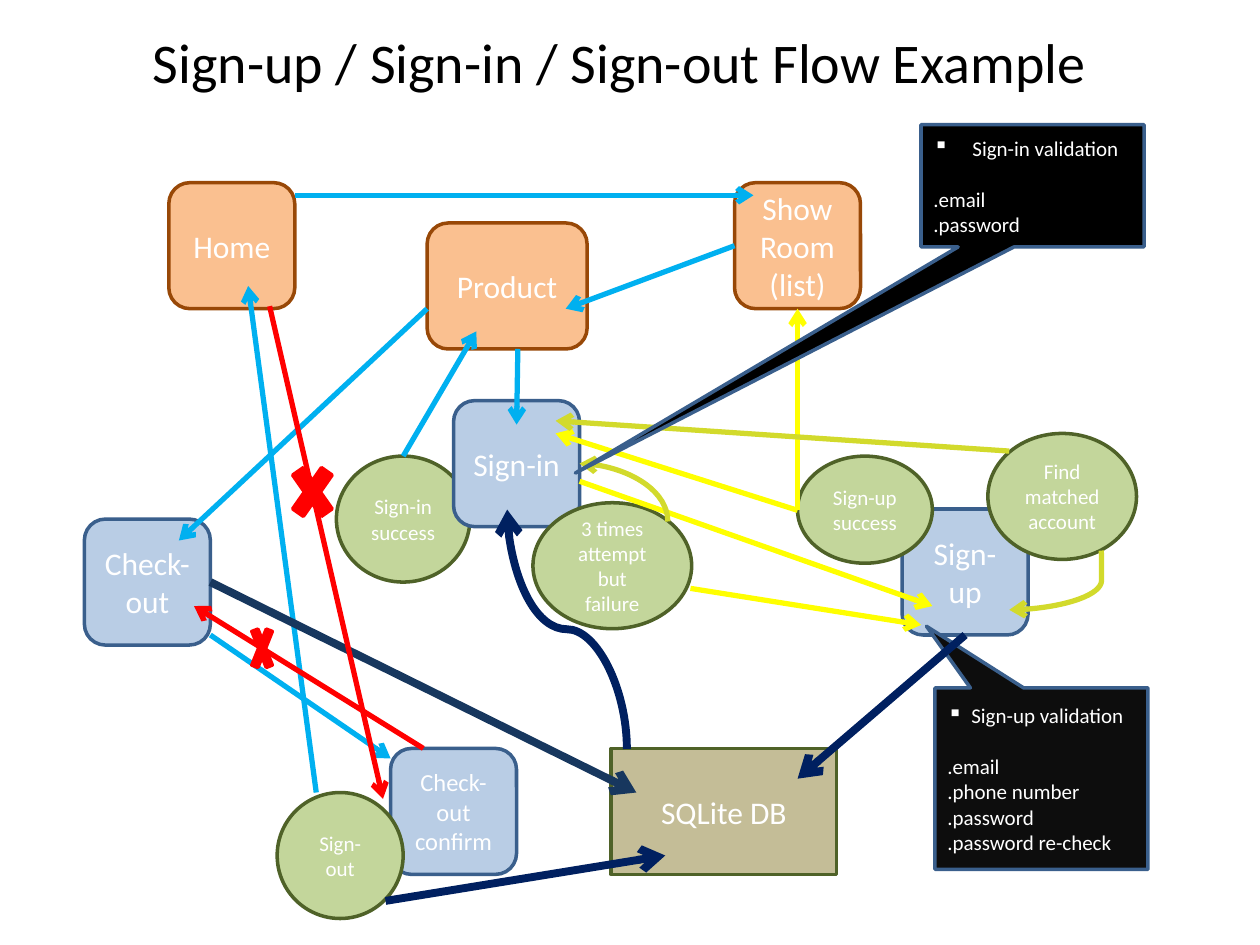
"""Builds the sign-up, sign-in and sign-out flow slide."""
import pptx
import pptx.dml.color
import pptx.enum.shapes
import pptx.enum.text
import pptx.oxml.ns
import pptx.oxml.xmlchemy
import pptx.util

RGB = pptx.dml.color.RGBColor
KIND = pptx.enum.shapes.MSO_SHAPE
WIRE = pptx.enum.shapes.MSO_CONNECTOR
ALIGN = pptx.enum.text.PP_ALIGN
MID = pptx.enum.text.MSO_ANCHOR.MIDDLE
Pt = pptx.util.Pt
qn = pptx.oxml.ns.qn

PX = 9144
FONT = "Calibri"
WHITE = RGB(0xFF, 0xFF, 0xFF)
BLACK = RGB(0, 0, 0)
COAL = RGB(0x0D, 0x0D, 0x0D)
STEEL = RGB(0x3A, 0x5F, 0x8C)
PALE = RGB(0xB9, 0xCD, 0xE5)
PEACH = RGB(0xFA, 0xC0, 0x90)
BROWN = RGB(0x98, 0x48, 0x07)
LEAF = RGB(0xC3, 0xD6, 0x9B)
MOSS = RGB(0x4F, 0x62, 0x28)
TAN = RGB(0xC4, 0xBD, 0x97)
SKY = RGB(0x00, 0xB0, 0xF0)
YELLOW = RGB(0xFF, 0xFF, 0x00)
LIME = RGB(0xD2, 0xDA, 0x2C)
SLATE = RGB(0x17, 0x37, 0x5E)
NAVY = RGB(0x00, 0x20, 0x60)
RED = RGB(0xFF, 0x00, 0x00)

STYLES = {
    "page": (KIND.ROUNDED_RECTANGLE, PEACH, BROWN),
    "form": (KIND.ROUNDED_RECTANGLE, PALE, STEEL),
    "event": (KIND.OVAL, LEAF, MOSS),
    "store": (KIND.RECTANGLE, TAN, MOSS),
    "cross": (KIND.MATH_MULTIPLY, RED, RED),
}
TITLE = "Sign-up / Sign-in / Sign-out Flow Example"
NODES = [
    ("event", (267, 362, 106, 100), 12, ["Sign-in success"]),
    ("form", (360, 318, 100, 100), 18, ["Sign-in"]),
    ("form", (716, 404, 100, 100), 18, ["Sign-up"]),
    ("page", (339, 177, 127, 100), 18, ["Product"]),
    ("form", (67, 412, 100, 100), 18, ["Check-out"]),
    ("form", (310, 594, 100, 100), 14, ["Check-out confirm"]),
    ("page", (134, 145, 100, 100), 18, ["Home"]),
    ("page", (583, 145, 100, 100), 18, ["Show", "Room", "(list)"]),
    ("store", (485, 594, 179, 100), 18, ["SQLite DB"]),
    ("event", (784, 344, 118, 100), 12, ["Find matched account"]),
    ("event", (633, 362, 107, 85), 12, ["Sign-up success"]),
    ("event", (423, 399, 126, 100), 12, ["3 times attempt but failure"]),
    ("event", (220, 629, 100, 100), 12, ["Sign-out"]),
]
LINES = [
    (SKY, 3, (411, 277, 410, 337)),
    (SKY, 3, (320, 362, 378, 263)),
    (SKY, 3, (339, 245, 142, 429)),
    (SKY, 3, (167, 504, 310, 602)),
    (SKY, 3, (251, 629, 197, 227)),
    (YELLOW, 3, (548, 467, 731, 496)),
    (YELLOW, 3, (633, 405, 441, 344)),
    (YELLOW, 3, (633, 405, 633, 245)),
    (LIME, 3, (801, 358, 441, 334)),
    (SLATE, 4.5, (167, 462, 505, 629)),
    (NAVY, 4.5, (766, 504, 633, 618)),
    (NAVY, 4.5, (306, 715, 528, 679)),
    (SKY, 3, (583, 195, 449, 245)),
    (SKY, 3, (234, 155, 598, 155)),
    (YELLOW, 3, (460, 382, 740, 481)),
]
CURVES = [
    (LIME, 3, (472, 356, 46, 70), 270, "curvedConnector2", None),
    (LIME, 3, (801, 437, 73, 47), 180, "curvedConnector3", -400),
    (NAVY, 4.5, (355, 452, 190, 95), 270, "curvedConnector3", None),
]
SIGNUP = ((742, 546, 169, 144), COAL, (-0.54, -0.84), 19, "Sign-up validation",
          [".email", ".phone number", ".password", ".password re-check"])
SIGNIN = ((731, 99, 177, 97), BLACK, (-2.05, 2.35), 31, "Sign-in validation",
          [".email", ".password"])
BLOCKS = [
    ((214, 243, 304, 634), (226, 359, 44, 63)),
    ((336, 594, 154, 481), (197, 487, 22, 55)),
]


def emu(nums):
    return [round(n * PX) for n in nums]


def add(base, tag, **attrs):
    part = pptx.oxml.xmlchemy.OxmlElement(tag)
    for key, value in attrs.items():
        part.set(key, value)
    base.append(part)


def write(frame, rows, size, color, align):
    frame.word_wrap = True
    frame.vertical_anchor = MID
    for i, row in enumerate(rows):
        para = frame.paragraphs[0] if i == 0 else frame.add_paragraph()
        para.alignment = align
        run = para.add_run()
        run.text = row
        run.font.name = FONT
        run.font.size = Pt(size)
        run.font.color.rgb = color


def shape(tree, kind, box, fill, edge):
    item = tree.add_shape(kind, *emu(box))
    item.shadow.inherit = False
    item.fill.solid()
    item.fill.fore_color.rgb = fill
    item.line.color.rgb = edge
    item.line.width = Pt(2)
    return item


def node(tree, style, box, size, rows):
    item = shape(tree, STYLES[style][0], box, *STYLES[style][1:])
    write(item.text_frame, rows, size, WHITE, ALIGN.CENTER)


def callout(tree, box, fill, tip, indent, head, rows):
    item = shape(tree, KIND.RECTANGULAR_CALLOUT, box, fill, STEEL)
    for i, part in enumerate(tip):
        item.adjustments[i] = part
    frame = item.text_frame
    write(frame, [head] + rows, 12, WHITE, ALIGN.LEFT)
    frame.paragraphs[1].space_before = Pt(14.6)
    props = frame.paragraphs[0]._p.get_or_add_pPr()
    props.set("marL", str(indent * PX))
    props.set("indent", str(-indent * PX))
    add(props, "a:buChar", char="▪")


def arrow(tree, color, width, ends, kind=WIRE.STRAIGHT):
    wire = tree.add_connector(kind, *emu(ends))
    wire.line.color.rgb = color
    wire.line.width = Pt(width)
    props = wire.element.spPr
    add(props.find(qn("a:ln")), "a:tailEnd", type="arrow")
    add(props, "a:effectLst")
    return props


def curve(tree, color, width, box, turn, preset, bend):
    x, y, w, h = box
    props = arrow(tree, color, width, (x, y + h, x + w, y), WIRE.CURVE)
    props.find(qn("a:xfrm")).set("rot", str(turn * 60000))
    geom = props.find(qn("a:prstGeom"))
    geom.set("prst", preset)
    if bend is not None:
        add(geom.find(qn("a:avLst")), "a:gd", name="adj1", fmla=f"val {bend}")


def main():
    deck = pptx.Presentation()
    deck.slide_width, deck.slide_height = emu((1000, 750))
    tree = deck.slides.add_slide(deck.slide_layouts[6]).shapes
    title = tree.add_textbox(*emu((67, 13, 850, 71)))
    write(title.text_frame, [TITLE], 32, BLACK, ALIGN.CENTER)
    for i, row in enumerate(NODES):
        node(tree, *row)
        if i == 5:
            callout(tree, *SIGNUP)
    for row in LINES:
        arrow(tree, *row)
    for row in CURVES:
        curve(tree, *row)
    callout(tree, *SIGNIN)
    for ends, box in BLOCKS:
        arrow(tree, RED, 3, ends)
        shape(tree, STYLES["cross"][0], box, *STYLES["cross"][1:])
    deck.save("out.pptx")


if __name__ == "__main__":
    main()
